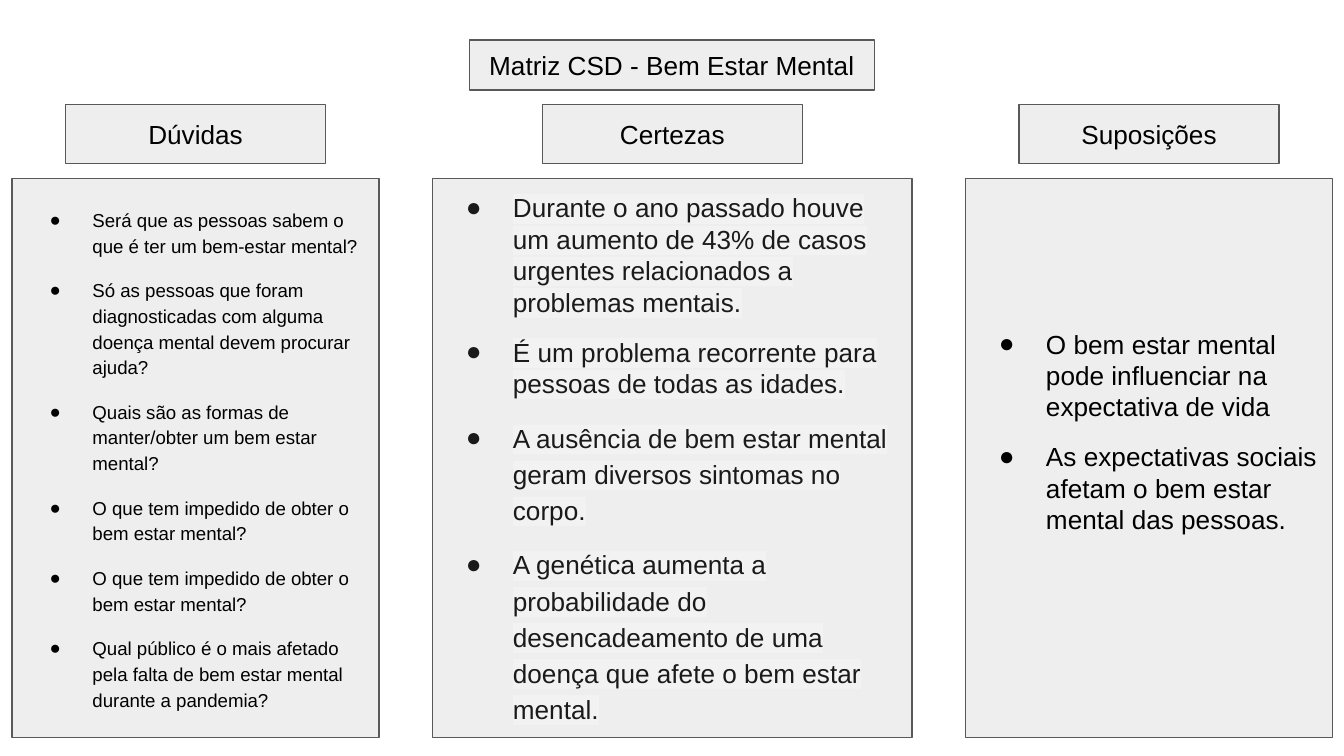
from lxml import etree
from pptx import Presentation
from pptx.dml.color import RGBColor
from pptx.enum.shapes import MSO_SHAPE
from pptx.enum.text import MSO_ANCHOR, MSO_AUTO_SIZE, PP_ALIGN
from pptx.oxml.ns import qn
from pptx.util import Pt

RECTANGLE = MSO_SHAPE.RECTANGLE
MIDDLE = MSO_ANCHOR.MIDDLE
NO_AUTOFIT = MSO_AUTO_SIZE.NONE
CENTER, LEFT = PP_ALIGN.CENTER, PP_ALIGN.LEFT

BLACK = RGBColor(0x00, 0x00, 0x00)
CHARCOAL = RGBColor(0x1A, 0x1A, 0x1A)
BOX_FILL = RGBColor(0xEE, 0xEE, 0xEE)
BOX_LINE = RGBColor(0x59, 0x59, 0x59)
HIGHLIGHT = RGBColor(0xF2, 0xF2, 0xF2)

FONT = "Arial"
SLIDE_WIDTH, SLIDE_HEIGHT = 720, 405
TITLE_BOX = (251.5, 21.5, 217, 26.8)
HEADING_TOP, HEADING_WIDTH, HEADING_HEIGHT = 56, 139.3, 31.6
LIST_TOP, LIST_HEIGHT = 95.6, 299.6
FIRST_LEFT, COLUMN_GAP = 6.5, 28.6
INSET, TEXT_INDENT, PARAGRAPH_GAP = 7.2, 36, 10

# One entry per column; line_spacing is given per item
COLUMNS = [
    {
        "heading": "Dúvidas", "width": 196.6, "size": 10, "hanging": 23,
        "color": BLACK, "highlight": None, "bottom_inset": INSET,
        "space_at_end": PARAGRAPH_GAP,
        "line_spacing": [1.15] * 6,
        "items": [
            "Será que as pessoas sabem o que é ter um bem-estar mental?",
            "Só as pessoas que foram diagnosticadas com alguma doença mental "
            "devem procurar ajuda?",
            "Quais são as formas de manter/obter um bem estar mental?",
            "O que tem impedido de obter o bem estar mental?",
            "O que tem impedido de obter o bem estar mental?",
            "Qual público é o mais afetado pela falta de bem estar mental "
            "durante a pandemia?",
        ],
    },
    {
        "heading": "Certezas", "width": 257, "size": 14, "hanging": 25.2,
        "color": CHARCOAL, "highlight": HIGHLIGHT, "bottom_inset": INSET,
        "space_at_end": PARAGRAPH_GAP,
        "line_spacing": [1, 1, 1.15, 1.15],
        "items": [
            "Durante o ano passado houve um aumento de 43% de casos urgentes "
            "relacionados a problemas mentais.",
            "É um problema recorrente para pessoas de todas as idades.",
            "A ausência de bem estar mental geram diversos sintomas no corpo.",
            "A genética aumenta a probabilidade do desencadeamento de uma "
            "doença que afete o bem estar mental.",
        ],
    },
    {
        # The larger bottom inset lifts this list above the middle
        "heading": "Suposições", "width": 196.6, "size": 14, "hanging": 25.2,
        "color": BLACK, "highlight": None, "bottom_inset": 35.7,
        "space_at_end": 0,
        "line_spacing": [1, 1],
        "items": [
            "O bem estar mental pode influenciar na expectativa de vida",
            "As expectativas sociais afetam o bem estar mental das pessoas.",
        ],
    },
]


def style_box(shape, bottom_inset=INSET):
    """Give a shape the grey fill, thin outline and text frame of the matrix."""
    shape.fill.solid()
    shape.fill.fore_color.rgb = BOX_FILL
    shape.line.color.rgb = BOX_LINE
    shape.line.width = Pt(0.75)
    frame = shape.text_frame
    frame.word_wrap = True
    frame.auto_size = NO_AUTOFIT
    frame.vertical_anchor = MIDDLE
    frame.margin_left = frame.margin_right = frame.margin_top = Pt(INSET)
    frame.margin_bottom = Pt(bottom_inset)


def style_paragraph(paragraph, size, color, alignment):
    paragraph.alignment = alignment
    paragraph.font.name = FONT
    paragraph.font.size = Pt(size)
    paragraph.font.color.rgb = color


def add_box(slide, left, top, width, height, bottom_inset=INSET):
    shape = slide.shapes.add_shape(
        RECTANGLE, Pt(left), Pt(top), Pt(width), Pt(height))
    shape.shadow.inherit = False
    style_box(shape, bottom_inset)
    return shape


def set_title(slide, text):
    title = slide.shapes.title
    title.left, title.top, title.width, title.height = map(Pt, TITLE_BOX)
    style_box(title)
    title.text_frame.text = text
    style_paragraph(title.text_frame.paragraphs[0], 14, BLACK, CENTER)


def add_heading(slide, text, center):
    shape = add_box(slide, center - HEADING_WIDTH / 2, HEADING_TOP,
                    HEADING_WIDTH, HEADING_HEIGHT)
    shape.text_frame.text = text
    style_paragraph(shape.text_frame.paragraphs[0], 14, BLACK, CENTER)


def add_color(parent, tag, color):
    element = etree.SubElement(parent, qn(tag))
    etree.SubElement(element, qn("a:srgbClr")).set("val", str(color))


def add_bullet(paragraph, color, hanging):
    properties = paragraph._p.get_or_add_pPr()
    properties.set("marL", str(Pt(TEXT_INDENT)))
    properties.set("indent", str(-Pt(hanging)))
    add_color(properties, "a:buClr", color)
    etree.SubElement(properties, qn("a:buFont")).set("typeface", FONT)
    etree.SubElement(properties, qn("a:buChar")).set("char", "●")


def add_list(slide, column, left):
    shape = add_box(slide, left, LIST_TOP, column["width"], LIST_HEIGHT,
                    column["bottom_inset"])
    frame = shape.text_frame
    for index, (text, spacing) in enumerate(
            zip(column["items"], column["line_spacing"])):
        paragraph = frame.add_paragraph() if index else frame.paragraphs[0]
        run = paragraph.add_run()
        run.text = text
        add_bullet(paragraph, column["color"], column["hanging"])
        style_paragraph(paragraph, column["size"], column["color"], LEFT)
        paragraph.line_spacing = float(spacing)
        paragraph.space_before = Pt(PARAGRAPH_GAP if index else 0)
        if column["highlight"] is not None:
            add_color(run._r.get_or_add_rPr(), "a:highlight",
                      column["highlight"])
    paragraph.space_after = Pt(column["space_at_end"])


def main():
    presentation = Presentation()
    presentation.slide_width = Pt(SLIDE_WIDTH)
    presentation.slide_height = Pt(SLIDE_HEIGHT)
    title_only = presentation.slide_layouts[5]
    slide = presentation.slides.add_slide(title_only)

    set_title(slide, "Matriz CSD - Bem Estar Mental")

    # Columns from left to right, each heading centred over its list
    left = FIRST_LEFT
    for column in COLUMNS:
        add_heading(slide, column["heading"], left + column["width"] / 2)
        add_list(slide, column, left)
        left += column["width"] + COLUMN_GAP

    presentation.save("out.pptx")


if __name__ == "__main__":
    main()
